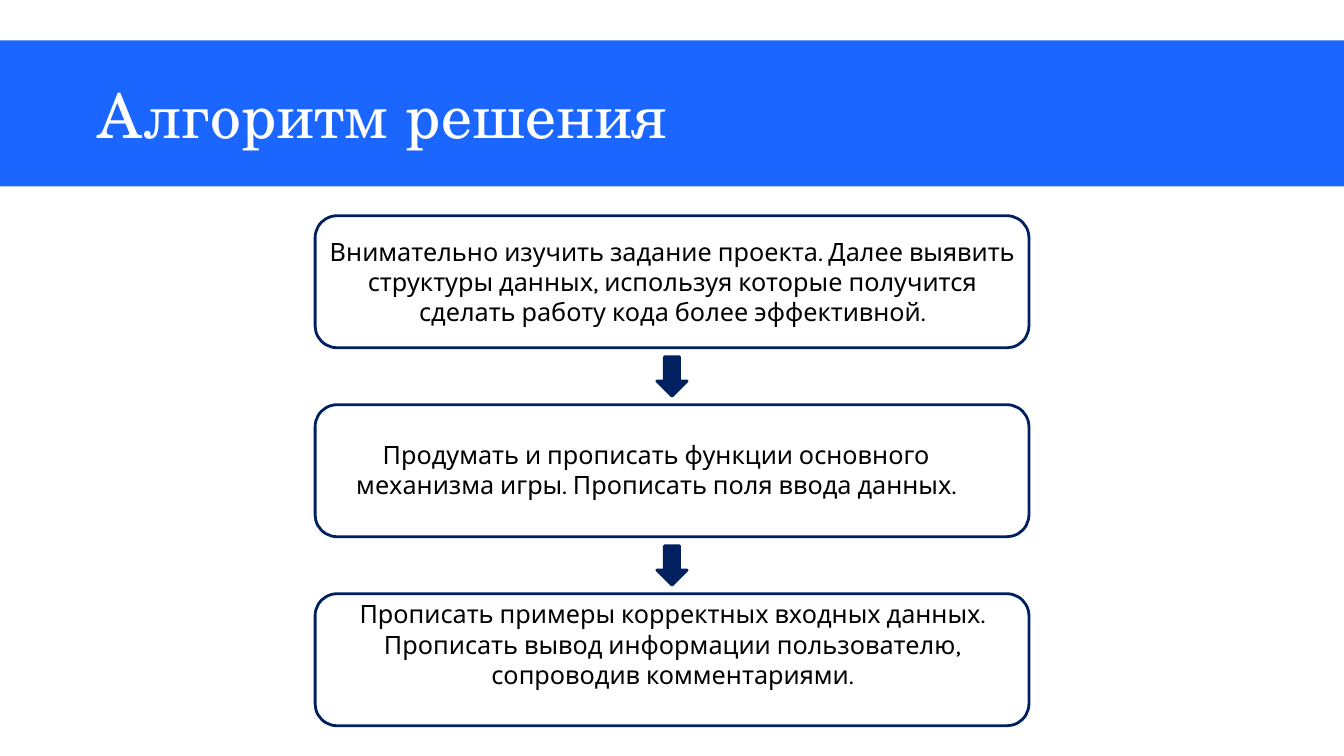
from pptx import Presentation
from pptx.dml.color import RGBColor
from pptx.enum.shapes import MSO_SHAPE
from pptx.enum.text import MSO_ANCHOR, PP_ALIGN
from pptx.util import Inches, Pt

# Content: each step with its text and the text's left, top and width
TITLE = "Алгоритм решения"
STEPS = [
    ("Внимательно изучить задание проекта. Далее выявить структуры данных, "
     "используя которые получится сделать работу кода более эффективной.",
     3.13, 2.29, 7.08),
    ("Продумать и прописать функции основного механизма игры. "
     "Прописать поля ввода данных.",
     3.21, 4.31, 6.6),
    ("Прописать примеры корректных входных данных. Прописать вывод "
     "информации пользователю, сопроводив комментариями.",
     3.13, 5.89, 7.08),
]

# Formats
WHITE, BLACK, BLUE, NAVY = "FFFFFF", "000000", "1A66FF", "002060"
TITLE_FONT = {"name": "TeX Gyre Schola", "size": Pt(44)}
STEP_FONT = {"name": "Karla", "size": Pt(18)}

# Layout in inches
SLIDE_W, SLIDE_H = 13.33, 7.5
BAND_TOP, BAND_H = 0.4, 1.45
STEP_TOP, STEP_PITCH, STEP_W, STEP_H = 2.14, 1.875, 7.08, 1.31
ARROW_W, ARROW_H, ARROW_GAP = 0.3, 0.39, 0.09
TEXT_H = 1.01


def color(hex_value):
    return RGBColor.from_string(hex_value)


def add_figure(slide, kind, box, fill, outline=None):
    figure = slide.shapes.add_shape(kind, *map(Inches, box))
    figure.shadow.inherit = False
    figure.fill.solid()
    figure.fill.fore_color.rgb = color(fill)
    if outline:
        figure.line.color.rgb = color(outline)
        figure.line.width = Pt(2)
    else:
        figure.line.fill.background()


def add_text(slide, words, box, font_format, ink, align, anchor, margin_x=0.1):
    frame = slide.shapes.add_textbox(*map(Inches, box)).text_frame
    frame_format = {
        "word_wrap": True, "vertical_anchor": anchor,
        "margin_left": Inches(margin_x), "margin_right": Inches(margin_x),
    }
    for name, value in frame_format.items():
        setattr(frame, name, value)
    paragraph = frame.paragraphs[0]
    paragraph.alignment = align
    run = paragraph.add_run()
    run.text = words
    for name, value in font_format.items():
        setattr(run.font, name, value)
    run.font.color.rgb = color(ink)


def main():
    deck = Presentation()
    deck.slide_width, deck.slide_height = Inches(SLIDE_W), Inches(SLIDE_H)
    slide = deck.slides.add_slide(deck.slide_layouts[6])

    # Title band
    add_figure(slide, MSO_SHAPE.RECTANGLE, (0, BAND_TOP, SLIDE_W, BAND_H), BLUE)
    add_text(slide, TITLE, (0.92, BAND_TOP, 11.5, BAND_H), TITLE_FONT, WHITE,
             PP_ALIGN.LEFT, MSO_ANCHOR.MIDDLE, margin_x=0.05)

    # Steps, with an arrow below each but the last
    for index, (words, left, text_top, width) in enumerate(STEPS):
        top = STEP_TOP + index * STEP_PITCH
        step_box = ((SLIDE_W - STEP_W) / 2, top, STEP_W, STEP_H)
        add_figure(slide, MSO_SHAPE.FLOWCHART_ALTERNATE_PROCESS, step_box,
                   WHITE, NAVY)
        if index < len(STEPS) - 1:
            arrow_box = ((SLIDE_W - ARROW_W) / 2, top + STEP_H + ARROW_GAP,
                         ARROW_W, ARROW_H)
            add_figure(slide, MSO_SHAPE.DOWN_ARROW, arrow_box, NAVY, NAVY)
        add_text(slide, words, (left, text_top, width, TEXT_H), STEP_FONT,
                 BLACK, PP_ALIGN.CENTER, MSO_ANCHOR.TOP)

    deck.save("out.pptx")


if __name__ == "__main__":
    main()
